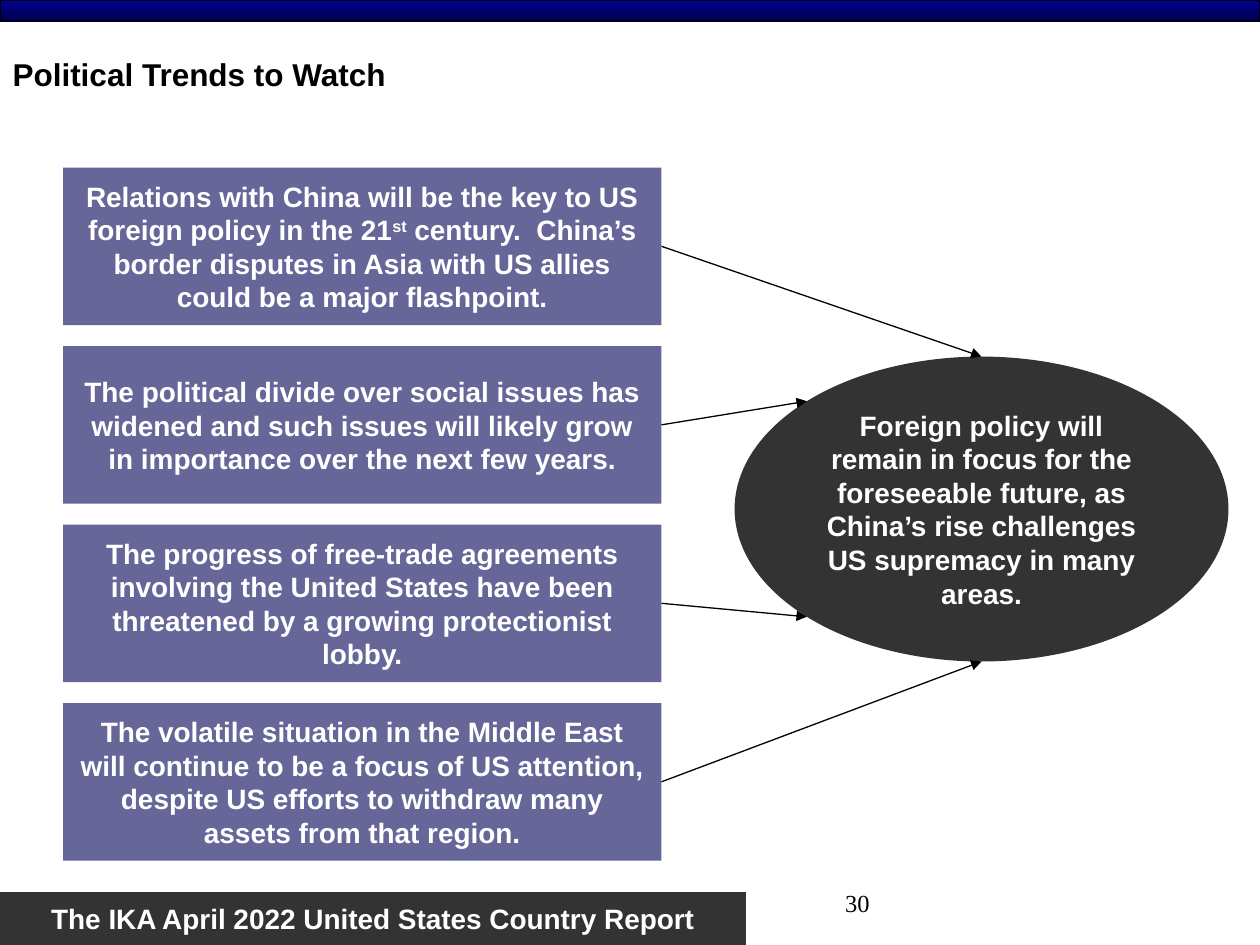
import math
from dataclasses import dataclass

from lxml import etree
from pptx import Presentation
from pptx import util as u
from pptx.dml.color import RGBColor
from pptx.enum import shapes, text
from pptx.oxml.ns import qn


@dataclass(frozen=True)
class Theme:
    black: str = "000000"
    white: str = "FFFFFF"
    dark: str = "333333"
    violet: str = "666699"
    bar_top: str = "000099"
    bar_bottom: str = "000047"
    sans: str = "Arial"
    serif: str = "Times New Roman"
    title: int = 18
    body: int = 16
    number: int = 14
    line: float = 0.75


T = Theme()
LABEL = dict(name=T.sans, size=u.Pt(T.body), bold=True, color=T.white)
TITLE = dict(name=T.sans, size=u.Pt(T.title), bold=True, color=T.black)
NUMBER = dict(name=T.serif, size=u.Pt(T.number), bold=False, color=T.black)

TRENDS = [
    [("Relations with China will be the key to US foreign policy in the 21", False),
     ("st", True),
     (" century.  China’s border disputes in Asia with US allies could be a major flashpoint.", False)],
    [("The political divide over social issues has widened and such issues will likely "
      "grow in importance over the next few years.", False)],
    [("The progress of free-trade agreements involving the United States have been "
      "threatened by a growing protectionist lobby.", False)],
    [("The volatile situation in the Middle East will continue to be a focus of US attention, "
      "despite US efforts to withdraw many assets from that region.", False)],
]
OUTLOOK = [("Foreign policy will remain in focus for the foreseeable future, as China’s rise "
            "challenges US supremacy in many areas.", False)]
FOOTER = [("The IKA April 2022 United States Country Report", False)]

BOX_LEFT, BOX_TOP, BOX_W, BOX_H = 0.5, 1.33, 4.75, 1.25
BOX_BOTTOM = 6.83
OVAL = (5.83, 2.83, 3.92, 2.42)
ARROW_ANGLES = (90, 135, 225, 270)


def inches(*values):
    return [u.Inches(v) for v in values]


def write(sp, runs, fmt, align, anchor=text.MSO_ANCHOR.MIDDLE, wrap=True):
    tf = sp.text_frame
    tf.word_wrap = wrap
    tf.vertical_anchor = anchor
    p = tf.paragraphs[0]
    p.alignment = align
    for words, raised in runs:
        r = p.add_run()
        r.text = words
        for key, value in fmt.items():
            if key == "color":
                r.font.color.rgb = RGBColor.from_string(value)
            else:
                setattr(r.font, key, value)
        if raised:
            r._r.get_or_add_rPr().set("baseline", "30000")


def add_block(s, kind, at, color, runs, wrap=True):
    sp = s.shapes.add_shape(kind, *inches(*at))
    sp.shadow.inherit = False
    sp.fill.solid()
    sp.fill.fore_color.rgb = RGBColor.from_string(color)
    sp.line.fill.background()
    write(sp, runs, LABEL, text.PP_ALIGN.CENTER, wrap=wrap)
    return sp


def add_top_bar(s):
    sp = s.shapes.add_shape(shapes.MSO_SHAPE.RECTANGLE, *inches(0, 0, 10, 0.17))
    sp.shadow.inherit = False
    sp.fill.gradient()
    sp.fill.gradient_angle = 270
    for stop, color in zip(sp.fill.gradient_stops, (T.bar_top, T.bar_bottom)):
        stop.color.rgb = RGBColor.from_string(color)
    sp.line.color.rgb = RGBColor.from_string(T.black)
    sp.line.width = u.Pt(T.line)


def add_title(s, words):
    sp = s.shapes.title
    sp.left, sp.top, sp.width, sp.height = inches(0, 0.25, 5.67, 0.67)
    write(sp, [(words, False)], TITLE, text.PP_ALIGN.LEFT)


def add_page_number(s, number):
    sp = s.shapes.add_textbox(*inches(4.92, 7, 2.08, 0.5))
    write(sp, [(number, False)], NUMBER, text.PP_ALIGN.RIGHT, text.MSO_ANCHOR.TOP)


def oval_point(angle):
    left, top, width, height = OVAL
    a = math.radians(angle)
    return left + width / 2 * (1 + math.cos(a)), top + height / 2 * (1 - math.sin(a))


def add_arrow(s, box, end):
    start = box.left + box.width, box.top + box.height // 2
    c = s.shapes.add_connector(shapes.MSO_CONNECTOR.STRAIGHT, *start, *inches(*end))
    c.begin_connect(box, 3)
    c.line.color.rgb = RGBColor.from_string(T.black)
    c.line.width = u.Pt(T.line)
    etree.SubElement(c.line._get_or_add_ln(), qn("a:tailEnd"), type="triangle")
    etree.SubElement(c._element.spPr, qn("a:effectLst"))


def main():
    prs = Presentation()
    prs.slide_width, prs.slide_height = inches(10, 7.5)
    s = prs.slides.add_slide(prs.slide_layouts[5])

    add_top_bar(s)
    add_block(s, shapes.MSO_SHAPE.RECTANGLE, (0, 7.08, 5.92, 0.42), T.dark, FOOTER, wrap=False)
    add_page_number(s, "30")
    add_title(s, "Political Trends to Watch")

    pitch = (BOX_BOTTOM - BOX_H - BOX_TOP) / (len(TRENDS) - 1)
    boxes = [
        add_block(s, shapes.MSO_SHAPE.RECTANGLE,
                  (BOX_LEFT, BOX_TOP + i * pitch, BOX_W, BOX_H), T.violet, runs)
        for i, runs in enumerate(TRENDS)
    ]
    add_block(s, shapes.MSO_SHAPE.OVAL, OVAL, T.dark, OUTLOOK)
    for box, angle in zip(boxes, ARROW_ANGLES):
        add_arrow(s, box, oval_point(angle))

    prs.save("out.pptx")


if __name__ == "__main__":
    main()
